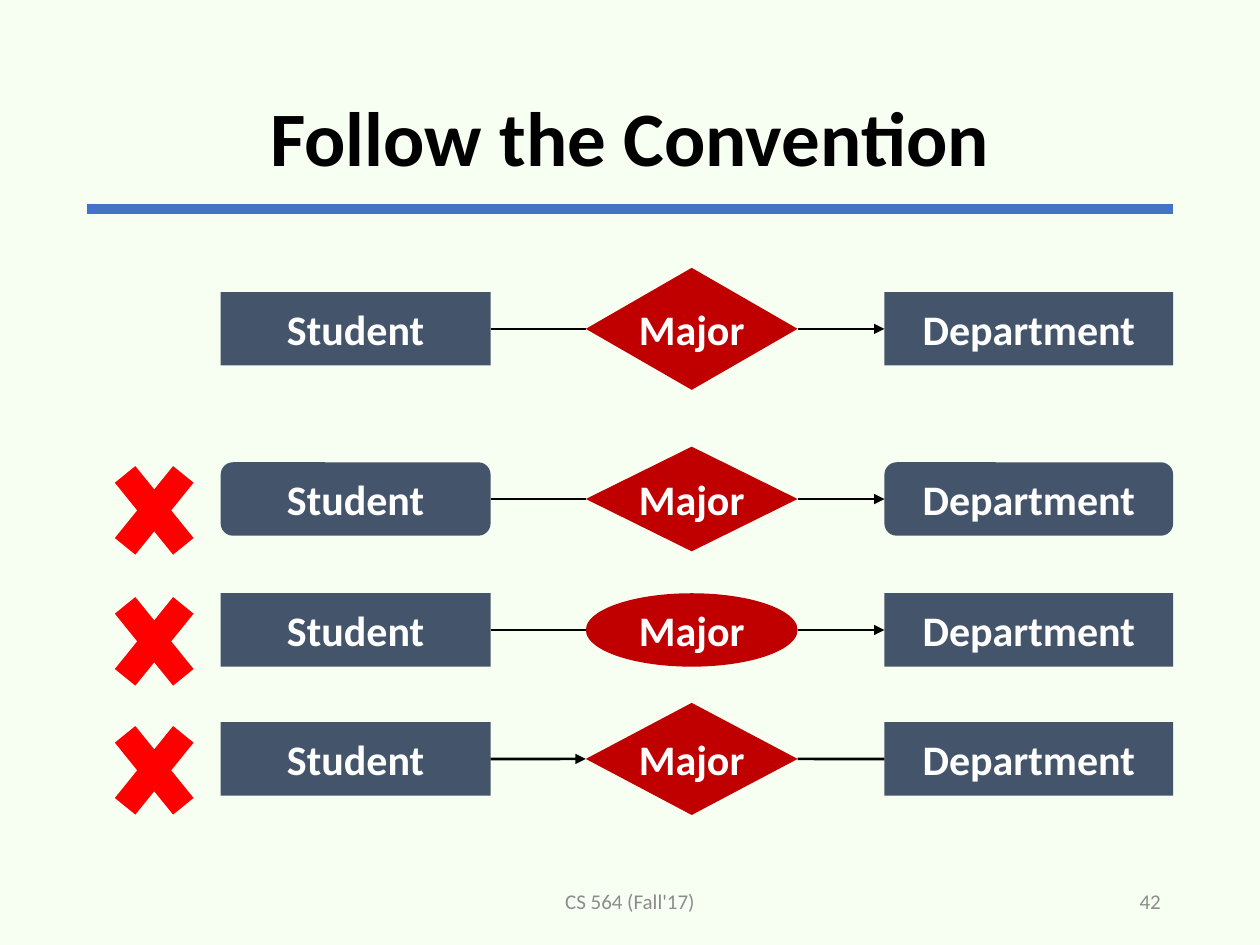
from dataclasses import dataclass

from lxml import etree
from pptx import Presentation
from pptx import util as u
from pptx.dml.color import RGBColor
from pptx.enum import shapes, text
from pptx.oxml import ns

KIND = shapes.MSO_SHAPE
ALIGN = text.PP_ALIGN
LEFT_SIDE, RIGHT_SIDE = 1, 3


@dataclass(frozen=True)
class Theme:
    font: str = "Calibri"
    background: str = "F7FFF3"
    rule: str = "4472C4"
    entity: str = "44546A"
    relation: str = "C00000"
    cross: str = "FF0000"
    ink: str = "000000"
    label: str = "FFFFFF"
    muted: str = "8C8C8C"
    title_size: int = 44
    label_size: int = 24
    footer_size: int = 12


class Deck:
    def __init__(self, theme):
        self.theme = theme
        self.deck = Presentation()
        self.deck.slide_width, self.deck.slide_height = u.Cm(25.4), u.Cm(19.05)
        self.page = self.deck.slides.add_slide(self.deck.slide_layouts[6])
        fill = self.page.background.fill
        fill.solid()
        fill.fore_color.rgb = RGBColor.from_string(theme.background)

    def set_words(self, shape, words, size, color, align=ALIGN.CENTER,
                  bold=False, wrap=True, spacing=1.0):
        frame = shape.text_frame
        frame.word_wrap = wrap
        frame.vertical_anchor = text.MSO_ANCHOR.MIDDLE
        para = frame.paragraphs[0]
        para.alignment, para.line_spacing = align, spacing
        span = para.add_run()
        span.text = words
        formats = {"name": self.theme.font, "size": u.Pt(size), "bold": bold}
        for name, value in formats.items():
            setattr(span.font, name, value)
        span.font.color.rgb = RGBColor.from_string(color)

    def text(self, left, top, width, height, words, size, color, **formats):
        box = self.page.shapes.add_textbox(*map(u.Cm, (left, top, width, height)))
        self.set_words(box, words, size, color, **formats)

    def shape(self, parent, kind, left, middle, width, height, color, words=None):
        """Add a filled shape centred vertically on middle."""
        shape = parent.shapes.add_shape(
            kind, *map(u.Cm, (left, middle - height / 2, width, height)))
        shape.shadow.inherit = False
        shape.fill.solid()
        shape.fill.fore_color.rgb = RGBColor.from_string(color)
        shape.line.fill.background()
        if words:
            self.set_words(shape, words, self.theme.label_size,
                           self.theme.label, bold=True, wrap=False)
        return shape

    def line(self, parent, start, end, color, width, arrow=None):
        """Add a straight line; arrow is None, "headEnd" or "tailEnd"."""
        line = parent.shapes.add_connector(
            shapes.MSO_CONNECTOR.STRAIGHT, *start, *end)
        line.line.color.rgb = RGBColor.from_string(color)
        line.line.width = u.Pt(width)
        properties = line._element.spPr
        if arrow:
            etree.SubElement(properties.find(ns.qn("a:ln")), ns.qn(f"a:{arrow}"),
                             type="triangle", w="med", len="med")
        etree.SubElement(properties, ns.qn("a:effectLst"))
        return line

    def link(self, parent, entity, relation, entity_side, arrow=None):
        """Join an entity's side to the facing side of the relation."""
        facing_right = entity_side == RIGHT_SIDE
        middle = entity.top + entity.height // 2
        start = entity.left + entity.width * facing_right
        end = relation.left + relation.width * (not facing_right)
        line = self.line(parent, (start, middle), (end, middle),
                         self.theme.ink, 1.5, arrow)
        line.begin_connect(entity, entity_side)
        # An ellipse numbers its connection sites differently
        if relation.auto_shape_type != KIND.OVAL:
            line.end_connect(relation, LEFT_SIDE if facing_right else RIGHT_SIDE)

    def diagram(self, middle, entity_kind, relation_kind, relation_height,
                student_arrow, department_arrow, wrong):
        theme = self.theme
        group = self.page.shapes.add_group_shape()
        student = self.shape(group, entity_kind, 4.45, middle, 5.44, 1.48,
                             theme.entity, "Student")
        department = self.shape(group, entity_kind, 17.83, middle, 5.82, 1.48,
                                theme.entity, "Department")
        major = self.shape(group, relation_kind, 11.81, middle, 4.27,
                           relation_height, theme.relation, "Major")
        self.link(group, student, major, RIGHT_SIDE, student_arrow)
        self.link(group, department, major, LEFT_SIDE, department_arrow)
        if wrong:
            self.shape(group, KIND.MATH_MULTIPLY, 1.98, middle + 0.23,
                       2.26, 2.79, theme.cross)


def main():
    theme = Theme()
    deck = Deck(theme)

    # Title and rule
    deck.line(deck.page, (u.Cm(1.75), u.Cm(4.21)), (u.Cm(23.65), u.Cm(4.21)),
              theme.rule, 6)
    deck.text(1.75, 1.01, 21.9, 3.69, "Follow the Convention",
              theme.title_size, theme.ink, bold=True, spacing=0.9)

    # Footer
    deck.text(8.41, 17.66, 8.58, 1.01, "CS 564 (Fall'17)",
              theme.footer_size, theme.muted)
    deck.text(17.94, 17.66, 5.71, 1.01, "42",
              theme.footer_size, theme.muted, align=ALIGN.RIGHT)

    # The convention, then three ways to break it
    rows = [
        (6.63, KIND.RECTANGLE, KIND.DIAMOND, 2.46, None, "headEnd", False),
        (10.06, KIND.ROUNDED_RECTANGLE, KIND.DIAMOND, 2.11, None, "headEnd", True),
        (12.7, KIND.RECTANGLE, KIND.OVAL, 1.48, None, "headEnd", True),
        (15.3, KIND.RECTANGLE, KIND.DIAMOND, 2.26, "tailEnd", None, True),
    ]
    for row in rows:
        deck.diagram(*row)

    deck.deck.save("out.pptx")


if __name__ == "__main__":
    main()
